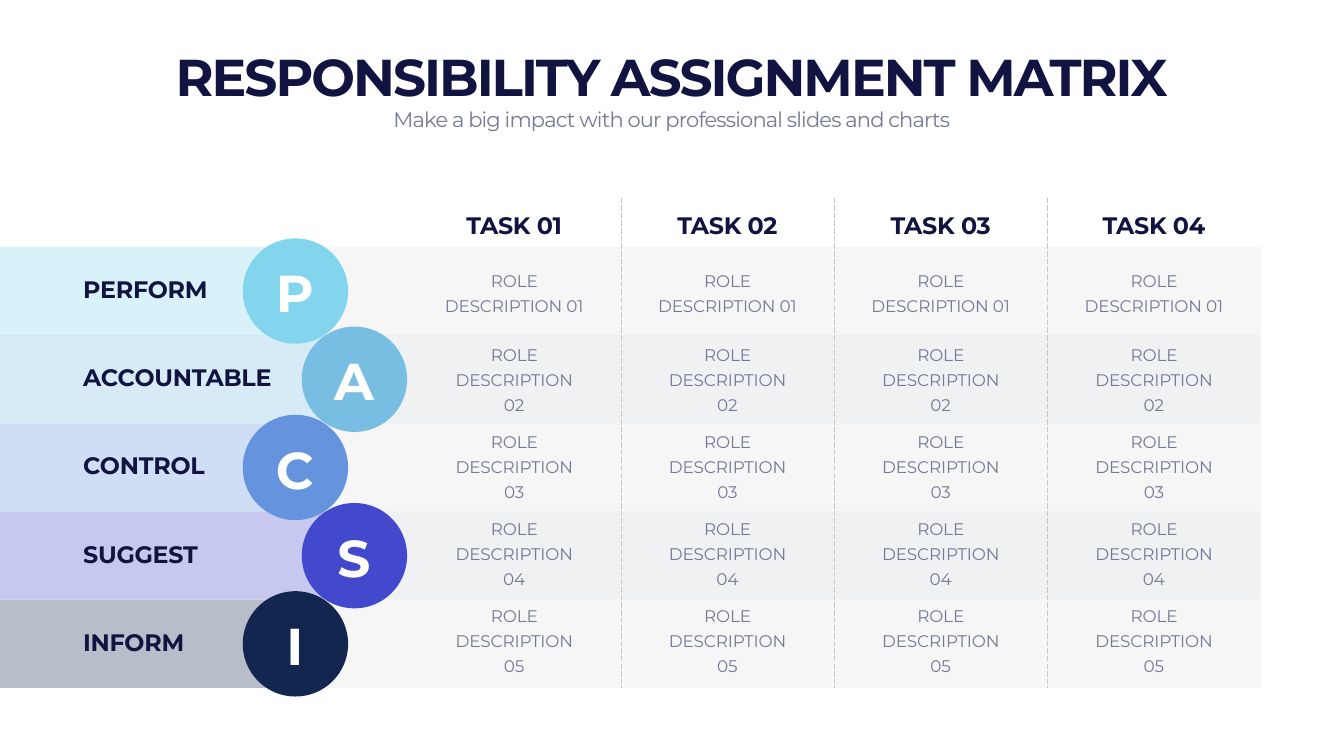
from dataclasses import dataclass

from lxml import etree
from pptx import Presentation
from pptx import util as u
from pptx.dml.color import RGBColor
from pptx.enum import dml, shapes, text
from pptx.oxml.ns import qn


@dataclass(frozen=True)
class Theme:
    """Colours and font of the slide."""
    font: str = "Montserrat"
    ink: str = "111340"
    muted: str = "747994"
    white: str = "FFFFFF"
    grey: str = "C3C8CE"
    label_alpha: int = 30
    odd_alpha: int = 15
    even_alpha: int = 25


@dataclass(frozen=True)
class TextStyle:
    """Type size, colour and letter spacing (points) of a text."""
    size: int
    color: str
    bold: bool
    spacing: float
    anchor: text.MSO_ANCHOR = text.MSO_ANCHOR.MIDDLE
    align: text.PP_ALIGN = text.PP_ALIGN.CENTER
    line_height: int | None = None


@dataclass(frozen=True)
class Role:
    """One row of the matrix."""
    name: str
    color: str


THEME = Theme()
TITLE = TextStyle(74, THEME.ink, True, -2.9, text.MSO_ANCHOR.BOTTOM)
SUBTITLE = TextStyle(30, THEME.muted, False, -1.2, text.MSO_ANCHOR.TOP)
LETTER = TextStyle(74, THEME.white, True, -2.9, text.MSO_ANCHOR.BOTTOM)
TASK = TextStyle(34, THEME.ink, True, -0.3)
LABEL = TextStyle(34, THEME.ink, True, -0.3, align=text.PP_ALIGN.LEFT)
CELL = TextStyle(24, THEME.muted, False, -0.2, line_height=36)

ROLES = [
    Role("PERFORM", "83D5ED"),
    Role("ACCOUNTABLE", "78BEE3"),
    Role("CONTROL", "6593DE"),
    Role("SUGGEST", "4349CC"),
    Role("INFORM", "13264F"),
]
TASK_COUNT = 4

# Grid, in inches
SLIDE_WIDTH, SLIDE_HEIGHT = 26.66, 15
GRID_TOP, ROW_HEIGHT, GRID_RIGHT = 4.9, 1.75, 25.01
CIRCLE_CENTERS = (5.86, 7.03)
CIRCLE_SIZE = 2.09
LABEL_WIDTHS = (3.09, 4.06)
COLUMN_LEFT, COLUMN_PITCH, COLUMN_WIDTH = 8.7, 4.23, 3
CELL_TOP, CELL_PITCH = 5.22, 1.725
DIVIDER_LEFT, DIVIDER_TOP = 12.32, 3.92


def add_filled(slide, kind: shapes.MSO_SHAPE, left: float, top: float,
               width: float, height: float, color: str, alpha: int = 100) -> None:
    """Draw a borderless shape, with its opacity in percent."""
    shape = slide.shapes.add_shape(kind, *map(u.Inches, (left, top, width, height)))
    shape.shadow.inherit = False
    shape.line.fill.background()
    shape.fill.solid()
    shape.fill.fore_color.rgb = RGBColor.from_string(color)
    if alpha < 100:
        fill_color = shape.fill._xPr.find(f"{qn('a:solidFill')}/{qn('a:srgbClr')}")
        etree.SubElement(fill_color, qn("a:alpha"), val=str(alpha * 1000))


def add_text(slide, wording: str, left: float, top: float,
             width: float, height: float, style: TextStyle) -> None:
    """Place a wrapped one-paragraph text."""
    box = slide.shapes.add_textbox(*map(u.Inches, (left, top, width, height)))
    frame = box.text_frame
    frame.word_wrap = True
    frame.auto_size = text.MSO_AUTO_SIZE.SHAPE_TO_FIT_TEXT
    frame.vertical_anchor = style.anchor
    paragraph = frame.paragraphs[0]
    paragraph.text = wording
    paragraph.alignment = style.align
    if style.line_height:
        paragraph.line_spacing = u.Pt(style.line_height)
    font = paragraph.font
    font.name, font.size, font.bold = THEME.font, u.Pt(style.size), style.bold
    font.color.rgb = RGBColor.from_string(style.color)
    properties = paragraph._p.pPr.find(qn("a:defRPr"))
    properties.set("spc", str(round(style.spacing * 100)))


def add_divider(slide, left: float) -> None:
    """Draw a dashed vertical line between two tasks."""
    bottom = GRID_TOP + len(ROLES) * ROW_HEIGHT
    line = slide.shapes.add_connector(
        shapes.MSO_CONNECTOR.STRAIGHT,
        *map(u.Inches, (left, DIVIDER_TOP, left, bottom)))
    line.line.color.rgb = RGBColor.from_string(THEME.grey)
    line.line.width = u.Pt(1)
    line.line.dash_style = dml.MSO_LINE.LONG_DASH
    etree.SubElement(line._element.spPr, qn("a:effectLst"))


def add_band(slide, row: int, role: Role) -> None:
    """Draw the tinted label band and the grey cell band of a row."""
    top, split = GRID_TOP + row * ROW_HEIGHT, CIRCLE_CENTERS[row % 2]
    grey_alpha = (THEME.odd_alpha, THEME.even_alpha)[row % 2]
    rectangle = shapes.MSO_SHAPE.RECTANGLE
    add_filled(slide, rectangle, 0, top, split, ROW_HEIGHT, role.color, THEME.label_alpha)
    add_filled(slide, rectangle, split, top, GRID_RIGHT - split, ROW_HEIGHT,
               THEME.grey, grey_alpha)


def add_circle(slide, row: int, role: Role) -> None:
    """Draw the circle of a row, centred on the end of its label band."""
    middle = GRID_TOP + (row + 0.5) * ROW_HEIGHT
    add_filled(slide, shapes.MSO_SHAPE.OVAL, CIRCLE_CENTERS[row % 2] - CIRCLE_SIZE / 2,
               middle - CIRCLE_SIZE / 2, CIRCLE_SIZE, CIRCLE_SIZE, role.color)


def add_role_text(slide, row: int, role: Role) -> None:
    """Write the name and initial of a role."""
    top = GRID_TOP + row * ROW_HEIGHT
    add_text(slide, role.name, 1.55, top + 0.5, LABEL_WIDTHS[row % 2], 0.67, LABEL)
    add_text(slide, role.name[0], CIRCLE_CENTERS[row % 2] - 0.72, top + 0.21,
             1.42, 1.35, LETTER)


def add_task(slide, column: int) -> None:
    """Write the heading and role descriptions of a task."""
    left = COLUMN_LEFT + column * COLUMN_PITCH
    add_text(slide, f"TASK {column + 1:02}", left, 4.12, COLUMN_WIDTH, 0.67, TASK)
    for row in range(len(ROLES)):
        add_text(slide, f"ROLE DESCRIPTION {row + 1:02}", left,
                 CELL_TOP + row * CELL_PITCH, COLUMN_WIDTH, 1.09, CELL)


def main() -> None:
    """Build and save the slide."""
    presentation = Presentation()
    presentation.slide_width = u.Inches(SLIDE_WIDTH)
    presentation.slide_height = u.Inches(SLIDE_HEIGHT)
    slide = presentation.slides.add_slide(presentation.slide_layouts[6])

    for draw in (add_band, add_circle):
        for row, role in enumerate(ROLES):
            draw(slide, row, role)
    for column in range(TASK_COUNT - 1):
        add_divider(slide, DIVIDER_LEFT + column * COLUMN_PITCH)

    add_text(slide, "RESPONSIBILITY ASSIGNMENT MATRIX", 1.66, 0.82, 23.33, 1.35, TITLE)
    add_text(slide, "Make a big impact with our professional slides and charts",
             1.66, 2.07, 23.33, 0.61, SUBTITLE)
    for row, role in enumerate(ROLES):
        add_role_text(slide, row, role)
    for column in range(TASK_COUNT):
        add_task(slide, column)

    presentation.save("out.pptx")


main()
